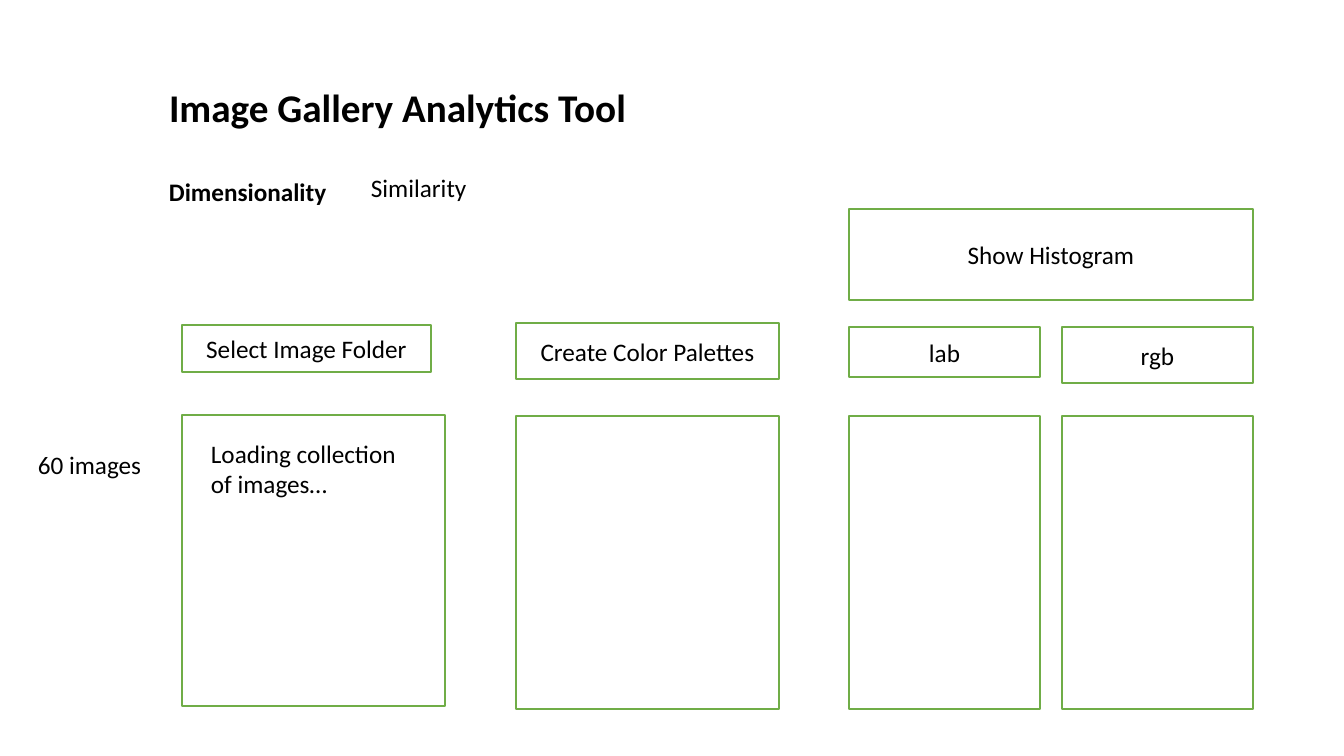
from pptx import Presentation
from pptx.dml.color import RGBColor
from pptx.enum.shapes import MSO_SHAPE
from pptx.enum.text import MSO_ANCHOR, MSO_AUTO_SIZE, PP_ALIGN
from pptx.util import Pt

RECTANGLE = MSO_SHAPE.RECTANGLE
MIDDLE = MSO_ANCHOR.MIDDLE
NO_AUTOFIT = MSO_AUTO_SIZE.NONE
LEFT, CENTER = PP_ALIGN.LEFT, PP_ALIGN.CENTER

WHITE = RGBColor(0xFF, 0xFF, 0xFF)
BLACK = RGBColor(0x00, 0x00, 0x00)
GREEN = RGBColor(0x70, 0xAD, 0x47)

PX = 914400 / 100.8

# Column edges and widths shared by the buttons and the panels below them
FOLDER_X, PALETTE_X, LAB_X, RGB_X = 182, 516, 849, 1062
WIDE, NARROW = 263, 191


def place(box, left, top, width, height):
    box.left, box.top = round(left * PX), round(top * PX)
    box.width, box.height = round(width * PX), round(height * PX)
    box.fill.solid()
    box.fill.fore_color.rgb = WHITE


def write(box, text, align, size=18, bold=False):
    frame = box.text_frame
    frame.text = text
    frame.word_wrap = True
    frame.auto_size = NO_AUTOFIT
    frame.vertical_anchor = MIDDLE
    para = frame.paragraphs[0]
    para.alignment = align
    font = para.runs[0].font
    font.name = "Calibri"
    font.size = Pt(size)
    font.bold = bold
    font.color.rgb = BLACK


deck = Presentation()
deck.slide_width, deck.slide_height = round(1344 * PX), round(756 * PX)
page = deck.slides.add_slide(deck.slide_layouts.get_by_name("Title Only"))

title = page.shapes.title
place(title, 159, 73, 564, 67)
write(title, "Image Gallery Analytics Tool", LEFT, size=28, bold=True)

# Buttons carry a centred caption; panels are empty frames
frames = [
    ("Show Histogram", LAB_X, 209, RGB_X + NARROW - LAB_X, 91),
    ("Select Image Folder", FOLDER_X, 325, 249, 47),
    ("Create Color Palettes", PALETTE_X, 323, WIDE, 56),
    ("lab", LAB_X, 327, NARROW, 50),
    ("rgb", RGB_X, 327, NARROW, 56),
    ("", FOLDER_X, 415, WIDE, 291),
    ("", PALETTE_X, 416, WIDE, 293),
    ("", LAB_X, 416, NARROW, 293),
    ("", RGB_X, 416, NARROW, 293),
]
for caption, *area in frames:
    box = page.shapes.add_shape(RECTANGLE, 0, 0, 0, 0)
    box.shadow.inherit = False
    place(box, *area)
    box.line.color.rgb = GREEN
    box.line.width = Pt(1)
    if caption:
        write(box, caption, CENTER)

labels = [
    ("Loading collection of images…", False, 201, 439, 208, 59),
    ("60 images", False, 28, 439, 137, 50),
    ("Dimensionality", True, 159, 163, 233, 56),
    ("Similarity", False, 361, 159, 233, 56),
]
for text, bold, *area in labels:
    label = page.shapes.add_textbox(0, 0, 0, 0)
    place(label, *area)
    write(label, text, LEFT, bold=bold)

deck.save("out.pptx")
